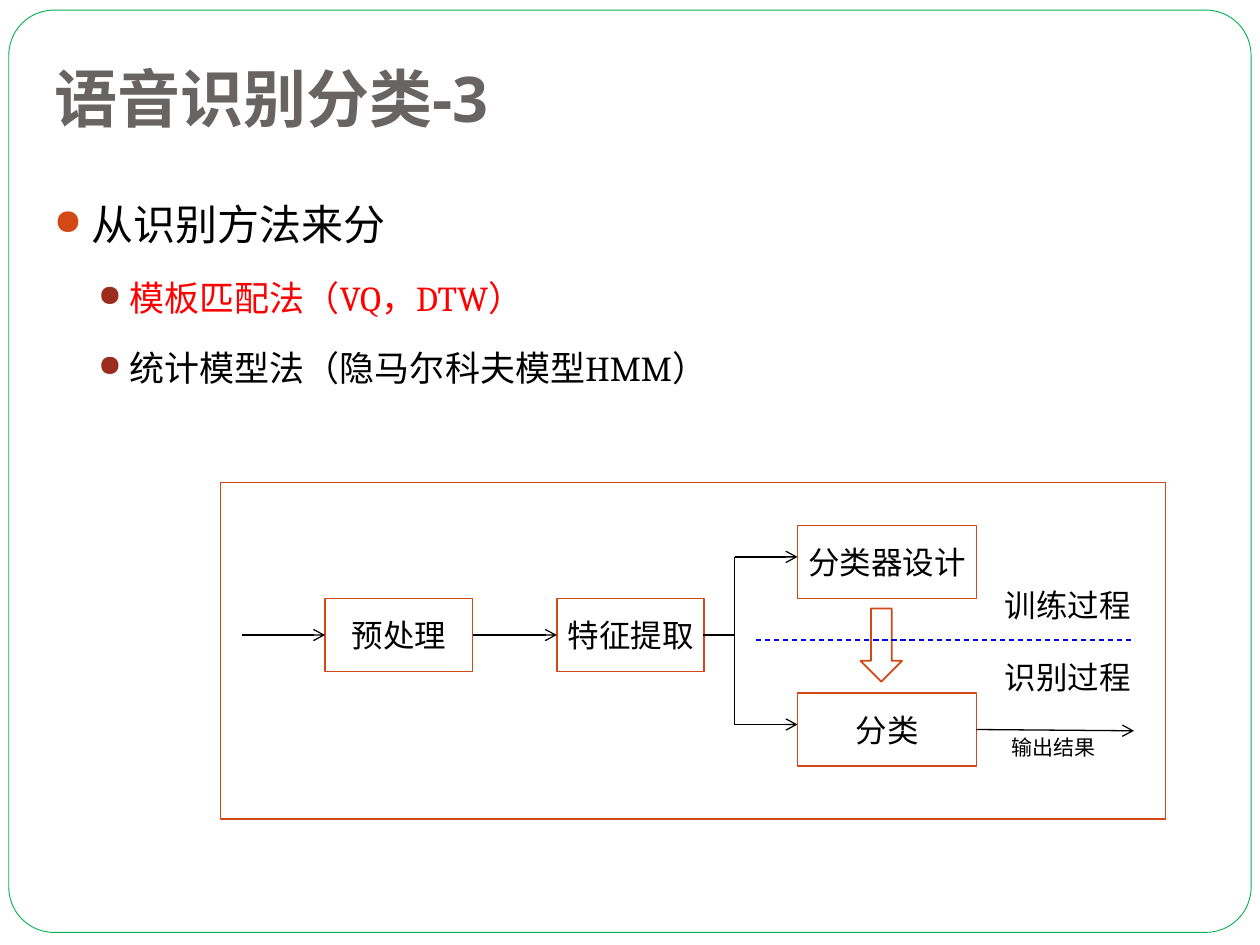
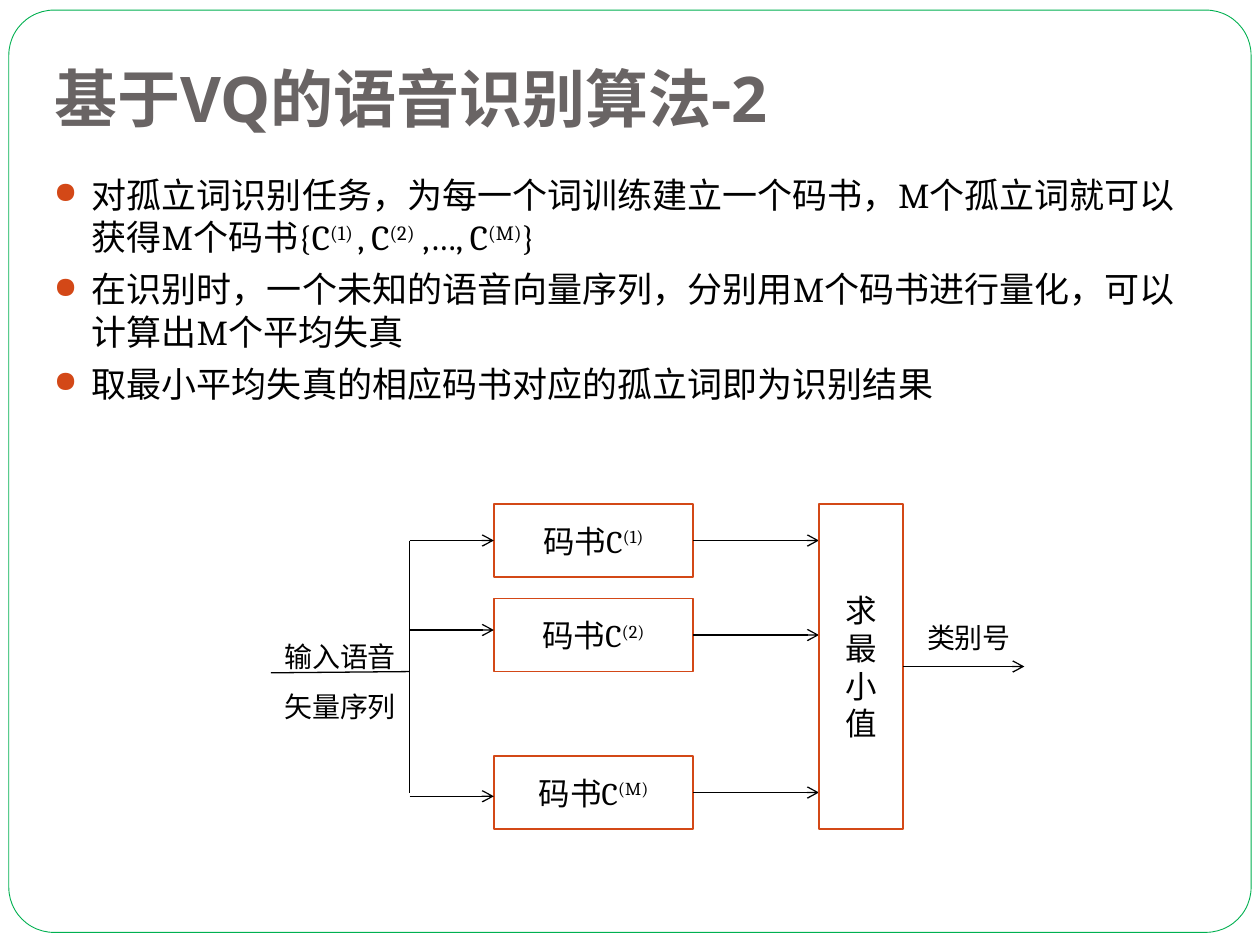
from dataclasses import dataclass

from lxml import etree
from pptx import Presentation
from pptx.dml.color import RGBColor
from pptx.enum.dml import MSO_LINE
from pptx.enum.shapes import MSO_CONNECTOR, MSO_SHAPE
from pptx.enum.text import MSO_ANCHOR, MSO_AUTO_SIZE, PP_ALIGN
from pptx.oxml.ns import qn
from pptx.util import Inches, Pt


@dataclass(frozen=True)
class Theme:
    # colours
    white: str = "FFFFFF"
    ink: str = "000000"
    title: str = "696464"
    frame: str = "00B050"
    accent: str = "D34817"
    accent_dark: str = "9B2D1F"
    highlight: str = "FF0000"
    divider: str = "0000FF"
    # fonts
    sans: str = "Open Sans"
    serif: str = "Cambria"
    # type sizes
    title_size: int = 36
    body_size: int = 24
    sub_size: int = 20
    box_size: int = 18
    label_size: int = 16
    note_size: int = 12


T = Theme()
BOX_H = 0.58


def rgb(colour):
    return RGBColor.from_string(colour)


# Text

def add_text(p, text, size=T.box_size, font=T.serif, colour=T.ink, bold=False):
    """Fill a paragraph; parts between ^ marks are superscript."""
    for i, part in enumerate(text.split("^")):
        if not part:
            continue
        r = p.add_run()
        r.text = part
        r.font.size = Pt(size)
        r.font.name = font
        r.font.bold = bold
        r.font.color.rgb = rgb(colour)
        if i % 2:
            r._r.get_or_add_rPr().set("baseline", "30000")


def add_lines(tf, text, spacing=None, **fmt):
    """Write centred lines, one paragraph each, that do not wrap."""
    tf.word_wrap = False
    for i, line in enumerate(text.split("\n")):
        p = tf.add_paragraph() if i else tf.paragraphs[0]
        p.alignment = PP_ALIGN.CENTER
        if spacing:
            p.line_spacing = spacing
        add_text(p, line, **fmt)


def set_bullet(p, colour, margin, hanging):
    pPr = p._p.get_or_add_pPr()
    pPr.set("marL", str(Inches(margin)))
    pPr.set("indent", str(-Inches(hanging)))
    clr = etree.SubElement(pPr, qn("a:buClr"))
    etree.SubElement(clr, qn("a:srgbClr")).set("val", colour)
    etree.SubElement(pPr, qn("a:buSzPct")).set("val", "85000")
    etree.SubElement(pPr, qn("a:buChar")).set("char", "●")


def add_bullets(s, items, spacing=None):
    """items: (level, text, size, colour)."""
    box = s.shapes.add_textbox(Inches(0.33), Inches(1.33), Inches(9.33), Inches(5.25))
    tf = box.text_frame
    tf.word_wrap = True
    for i, (level, text, size, colour) in enumerate(items):
        p = tf.add_paragraph() if i else tf.paragraphs[0]
        p.level = level
        p.space_before = Pt(3.7 if level else 5.8)
        if spacing:
            p.line_spacing = spacing
        if level:
            set_bullet(p, T.accent_dark, 0.6, 0.25)
        else:
            set_bullet(p, T.accent, 0.3, 0.3)
        add_text(p, text, size=size, colour=colour)


def add_label(s, x, y, w, h, text, size=T.box_size, spacing=None):
    box = s.shapes.add_textbox(Inches(x), Inches(y), Inches(w), Inches(h))
    add_lines(box.text_frame, text, spacing, size=size, font=T.sans)
    box.text_frame.auto_size = MSO_AUTO_SIZE.SHAPE_TO_FIT_TEXT


# Shapes and lines

def add_box(s, x, y, w, h, text="", kind=MSO_SHAPE.RECTANGLE,
            line=T.accent, weight=1, **fmt):
    box = s.shapes.add_shape(kind, Inches(x), Inches(y), Inches(w), Inches(h))
    box.shadow.inherit = False
    box.fill.solid()
    box.fill.fore_color.rgb = rgb(T.white)
    box.line.color.rgb = rgb(line)
    box.line.width = Pt(weight)
    if text:
        box.text_frame.vertical_anchor = MSO_ANCHOR.MIDDLE
        add_lines(box.text_frame, text, **fmt)
    return box


def add_line(s, x1, y1, x2, y2, arrow=False, colour=T.ink, dash=None):
    c = s.shapes.add_connector(MSO_CONNECTOR.STRAIGHT, Inches(x1), Inches(y1),
                               Inches(x2), Inches(y2))
    c.line.color.rgb = rgb(colour)
    c.line.width = Pt(0.75)
    if dash:
        c.line.dash_style = dash
    if arrow:
        etree.SubElement(c.line._get_or_add_ln(), qn("a:tailEnd")).set("type", "arrow")
    etree.SubElement(c.element.spPr, qn("a:effectLst"))


# Shared slide base: rounded frame and title

def new_slide(prs, title):
    s = prs.slides.add_slide(prs.slide_layouts[5])
    frame = add_box(s, 0.07, 0.08, 9.86, 7.32, kind=MSO_SHAPE.ROUNDED_RECTANGLE,
                    line=T.frame, weight=0.5)
    frame.adjustments[0] = 0.049
    sp = s.shapes.title
    sp.element.addprevious(frame.element)
    sp.left, sp.top = Inches(0.33), Inches(0.3)
    sp.width, sp.height = Inches(9.33), Inches(0.87)
    tf = sp.text_frame
    tf.auto_size = MSO_AUTO_SIZE.NONE
    tf.word_wrap = True
    tf.vertical_anchor = MSO_ANCHOR.BOTTOM
    tf.margin_bottom = Inches(0.1)
    p = tf.paragraphs[0]
    p.alignment = PP_ALIGN.LEFT
    add_text(p, title, size=T.title_size, font=T.sans, colour=T.title, bold=True)
    return s


def methods_slide(prs):
    s = new_slide(prs, "语音识别分类-3")
    add_box(s, 1.75, 3.83, 7.5, 2.67)
    add_bullets(s, [
        (0, "从识别方法来分", T.body_size, T.ink),
        (1, "模板匹配法（VQ，DTW）", T.sub_size, T.highlight),
        (1, "统计模型法（隐马尔科夫模型HMM）", T.sub_size, T.ink),
    ], spacing=1.5)

    # Front end: preprocessing and feature extraction
    mid, fork = 5.04, 5.83
    add_box(s, 2.58, 4.75, 1.17, BOX_H, "预处理", font=T.sans)
    add_box(s, 4.42, 4.75, 1.17, BOX_H, "特征提取")
    add_line(s, 1.92, mid, 2.58, mid, arrow=True)
    add_line(s, 3.75, mid, 4.42, mid, arrow=True)
    add_line(s, 5.58, mid, fork, mid)

    # Fork to training and recognition
    add_line(s, fork, 4.42, fork, 5.75)
    for text, top, arrow_y in (("分类器设计", 4.17, 4.42), ("分类", 5.5, 5.75)):
        add_line(s, fork, arrow_y, 6.33, arrow_y, arrow=True)
        add_box(s, 6.33, top, 1.42, BOX_H, text)
    add_box(s, 6.83, 4.83, 0.33, BOX_H, kind=MSO_SHAPE.DOWN_ARROW)

    # Stage labels, divider and output
    add_label(s, 7.87, 4.6, 1.21, 0.4, "训练过程")
    add_label(s, 7.87, 5.17, 1.21, 0.4, "识别过程")
    add_line(s, 6, 5.08, 9, 5.08, colour=T.divider, dash=MSO_LINE.DASH)
    add_line(s, 7.75, 5.79, 9, 5.8, arrow=True)
    add_label(s, 7.92, 5.78, 0.88, 0.3, "输出结果", size=T.note_size)


def vq_slide(prs):
    s = new_slide(prs, "基于VQ的语音识别算法-2")
    points = (
        "对孤立词识别任务，为每一个词训练建立一个码书，M个孤立词就可以"
        "获得M个码书{C^(1) ^, C^(2)^ ,…, C^(M)^}",
        "在识别时，一个未知的语音向量序列，分别用M个码书进行量化，可以计算出M个平均失真",
        "取最小平均失真的相应码书对应的孤立词即为识别结果",
    )
    add_bullets(s, [(0, text, T.sub_size, T.ink) for text in points])

    # Codebooks, each with an arrow in and an arrow out
    fork = 3.25
    for index, top, in_y in (("1", 4, 4.29), ("2", 4.75, 5), ("M", 6, 6.32)):
        out_y = top + BOX_H / 2
        add_box(s, 3.92, top, 1.58, BOX_H, f"码书C^({index})^")
        add_line(s, fork, in_y, 3.92, in_y, arrow=True)
        add_line(s, 5.5, out_y, 6.5, out_y, arrow=True)

    # Input
    add_line(s, fork, 4.29, fork, 6.29)
    add_line(s, 2.15, 5.34, fork, 5.33)
    add_label(s, 2.15, 4.89, 1.1, 0.91, "输入语音\n矢量序列",
              size=T.label_size, spacing=1.5)

    # Minimum and output
    add_box(s, 6.5, 4, 0.67, 2.58, "求\n最\n小\n值")
    add_line(s, 7.17, 5.29, 8.13, 5.29, arrow=True)
    add_label(s, 7.25, 4.88, 0.88, 0.37, "类别号", size=T.label_size)


def main():
    prs = Presentation()
    prs.slide_width, prs.slide_height = Inches(10), Inches(7.5)
    methods_slide(prs)
    vq_slide(prs)
    prs.save("out.pptx")


main()
